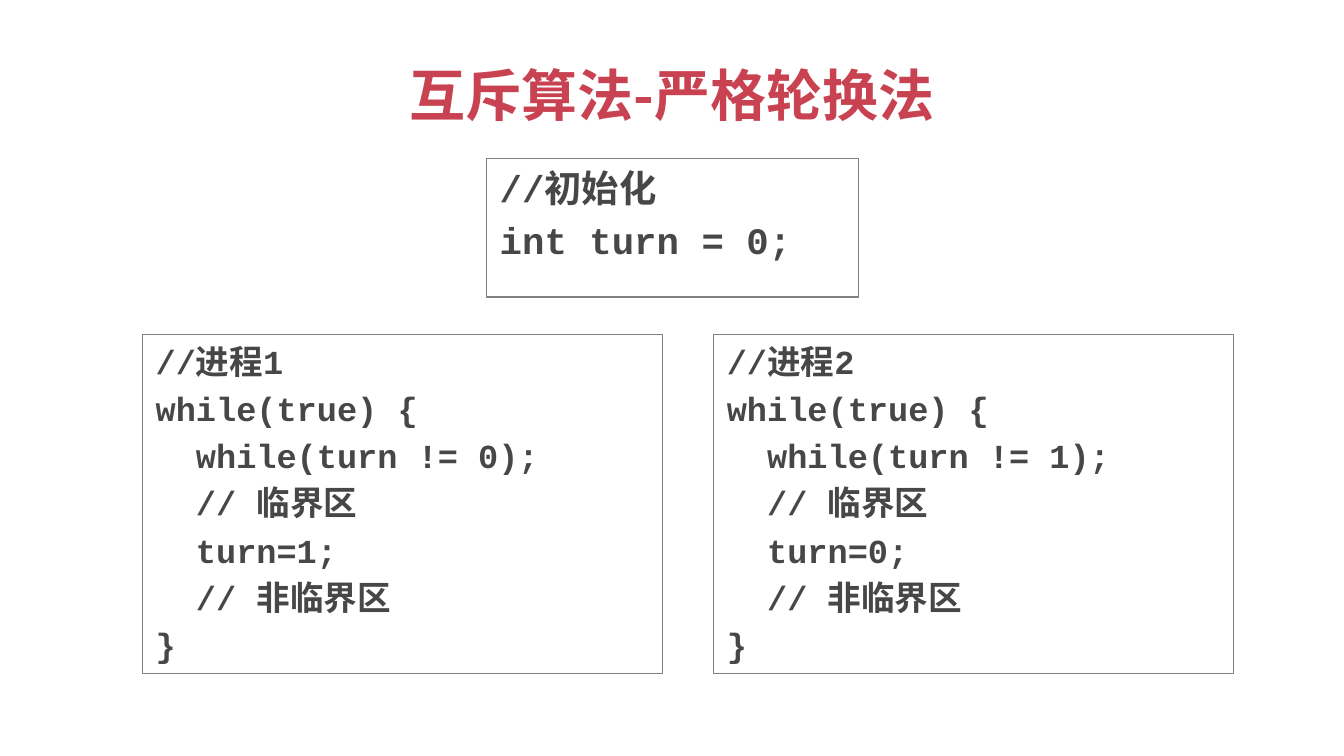
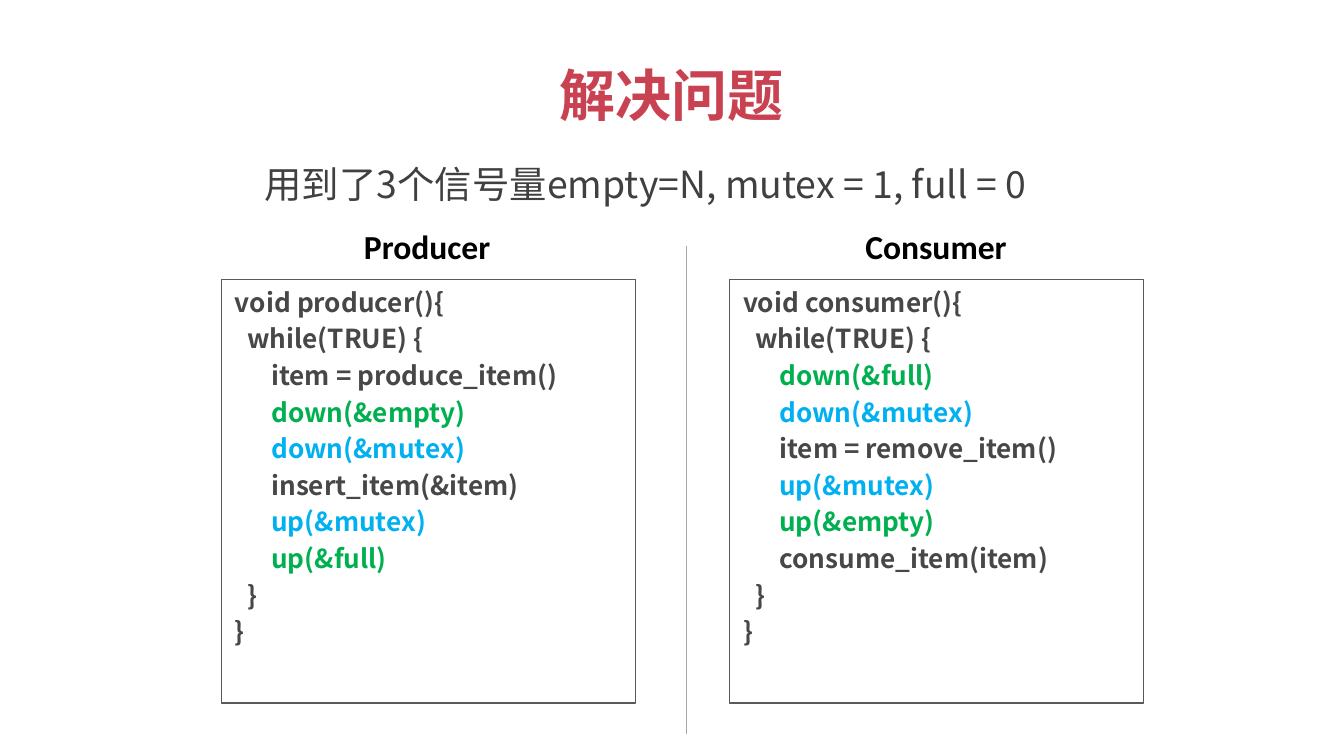
from dataclasses import dataclass

from lxml.etree import SubElement
from pptx import Presentation
from pptx.dml.color import RGBColor
from pptx.enum.shapes import MSO_CONNECTOR, MSO_SHAPE
from pptx.enum.text import MSO_ANCHOR, MSO_AUTO_SIZE, PP_ALIGN
from pptx.oxml.ns import qn
from pptx.util import Inches, Pt


@dataclass(frozen=True)
class Theme:
    # Colours
    title: str = "C94251"
    code: str = "474747"
    body: str = "404040"
    heading: str = "000000"
    counter: str = "00B050"
    mutex: str = "00B0F0"
    divider: str = "A6A6A6"
    turn_border: str = "808080"
    semaphore_border: str = "595959"
    # Fonts
    sans: str = "Noto Sans CJK SC"
    mono: str = "Courier New"
    label: str = "Calibri"
    # Type sizes and line width, in points
    title_size: int = 30
    large: int = 20
    medium: int = 18
    small: int = 14
    line: float = 0.75


THEME = Theme()
TITLE_BOX = (0.5, 0.23, 9, 0.94)


def add_run(paragraph, text, size, font, color, bold=True):
    run = paragraph.add_run()
    run.text = text
    run.font.size = Pt(size)
    run.font.bold = bold
    run.font.color.rgb = RGBColor.from_string(color)
    run.font.name = font
    east_asian = SubElement(run.font._element, qn("a:ea"))
    east_asian.set("typeface", THEME.sans)


def add_label(slide, box, text, size, font, color, bold=True):
    """One line that starts at the left of its box and does not wrap."""
    label = slide.shapes.add_textbox(*map(Inches, box))
    frame = label.text_frame
    frame.word_wrap = False
    frame.auto_size = MSO_AUTO_SIZE.SHAPE_TO_FIT_TEXT
    frame.paragraphs[0].alignment = PP_ALIGN.LEFT
    add_run(frame.paragraphs[0], text, size, font, color, bold)


def add_title(slide, text):
    title = slide.shapes.add_textbox(*map(Inches, TITLE_BOX))
    frame = title.text_frame
    frame.word_wrap = True
    frame.vertical_anchor = MSO_ANCHOR.MIDDLE
    frame.paragraphs[0].alignment = PP_ALIGN.CENTER
    add_run(frame.paragraphs[0], text, THEME.title_size, THEME.sans, THEME.title)


def add_code(slide, box, lines, size, font, border, indent):
    """Framed listing; each line is (indent level, text, optional colour)."""
    panel = slide.shapes.add_shape(MSO_SHAPE.RECTANGLE, *map(Inches, box))
    panel.shadow.inherit = False
    panel.fill.background()
    panel.line.color.rgb = RGBColor.from_string(border)
    panel.line.width = Pt(THEME.line)
    frame = panel.text_frame
    frame.word_wrap = True
    frame.vertical_anchor = MSO_ANCHOR.TOP
    for number, (level, text, *color) in enumerate(lines):
        paragraph = frame.add_paragraph() if number else frame.paragraphs[0]
        paragraph.alignment = PP_ALIGN.LEFT
        # Left indent, and space before as a share of the type size
        properties = paragraph._p.get_or_add_pPr()
        properties.set("marL", str(Inches(level * indent)))
        properties.set("indent", "0")
        before = SubElement(properties, qn("a:spcBef"))
        SubElement(before, qn("a:spcPct")).set("val", "20000")
        add_run(paragraph, text, size, font, color[0] if color else THEME.code)


def add_divider(slide, x, top, bottom):
    divider = slide.shapes.add_connector(
        MSO_CONNECTOR.STRAIGHT, Inches(x), Inches(top), Inches(x), Inches(bottom))
    divider.line.color.rgb = RGBColor.from_string(THEME.divider)
    divider.line.width = Pt(THEME.line)
    SubElement(divider._element.spPr, qn("a:effectLst"))


def process_lines(number):
    own, other = number - 1, 2 - number
    return [
        (0, f"//进程{number}"),
        (0, "while(true) {"),
        (1, f"while(turn != {own});"),
        (1, "// 临界区"),
        (1, f"turn={other};"),
        (1, "// 非临界区"),
        (0, "}"),
    ]


def role_lines(name, steps):
    return [(0, f"void {name}(){{"), (1, "while(TRUE) {"),
            *[(3, *step) for step in steps], (1, "}"), (0, "}")]


def build_strict_alternation(slide):
    add_title(slide, "互斥算法-严格轮换法")
    # Shared variable
    add_code(slide, (3.62, 1.18, 2.77, 1.03),
             [(0, "//初始化"), (0, "int turn = 0;")],
             THEME.large, THEME.mono, THEME.turn_border, 0)
    # The two processes side by side
    left, top, width, height, pitch = 1.06, 2.49, 3.87, 2.52, 4.25
    for column in range(2):
        add_code(slide, (left + column * pitch, top, width, height),
                 process_lines(column + 1), THEME.medium, THEME.mono,
                 THEME.turn_border, 0.3)


def build_semaphores(slide):
    add_title(slide, "解决问题")
    down_mutex, up_mutex = [(f"{call}(&mutex)", THEME.mutex) for call in ("down", "up")]
    producer = [("item = produce_item()",), ("down(&empty)", THEME.counter), down_mutex,
                ("insert_item(&item)",), up_mutex, ("up(&full)", THEME.counter)]
    consumer = [("down(&full)", THEME.counter), down_mutex, ("item = remove_item()",),
                up_mutex, ("up(&empty)", THEME.counter), ("consume_item(item)",)]
    # Producer and consumer columns
    left, top, width, height, pitch = 1.65, 2.08, 3.08, 3.15, 3.78
    roles = [("Producer", producer, 2.61, 1.15), ("Consumer", consumer, 6.34, 1.26)]
    for column, (role, steps, label_left, label_width) in enumerate(roles):
        add_code(slide, (left + column * pitch, top, width, height),
                 role_lines(role.lower(), steps), THEME.small, THEME.sans,
                 THEME.semaphore_border, 0.09)
        add_label(slide, (label_left, 1.63, label_width, 0.4), role,
                  THEME.medium, THEME.label, THEME.heading)
    add_divider(slide, 5.11, 1.83, 5.46)
    # Semaphore summary
    add_label(slide, (1.87, 1.15, 6.26, 0.44),
              "用到了3个信号量empty=N, mutex = 1, full = 0",
              THEME.large, THEME.sans, THEME.body, bold=False)


# Widescreen, 16:9
presentation = Presentation()
presentation.slide_width = Inches(10)
presentation.slide_height = Inches(10) * 9 // 16
blank = presentation.slide_layouts[6]
for build in (build_strict_alternation, build_semaphores):
    build(presentation.slides.add_slide(blank))
presentation.save("out.pptx")
